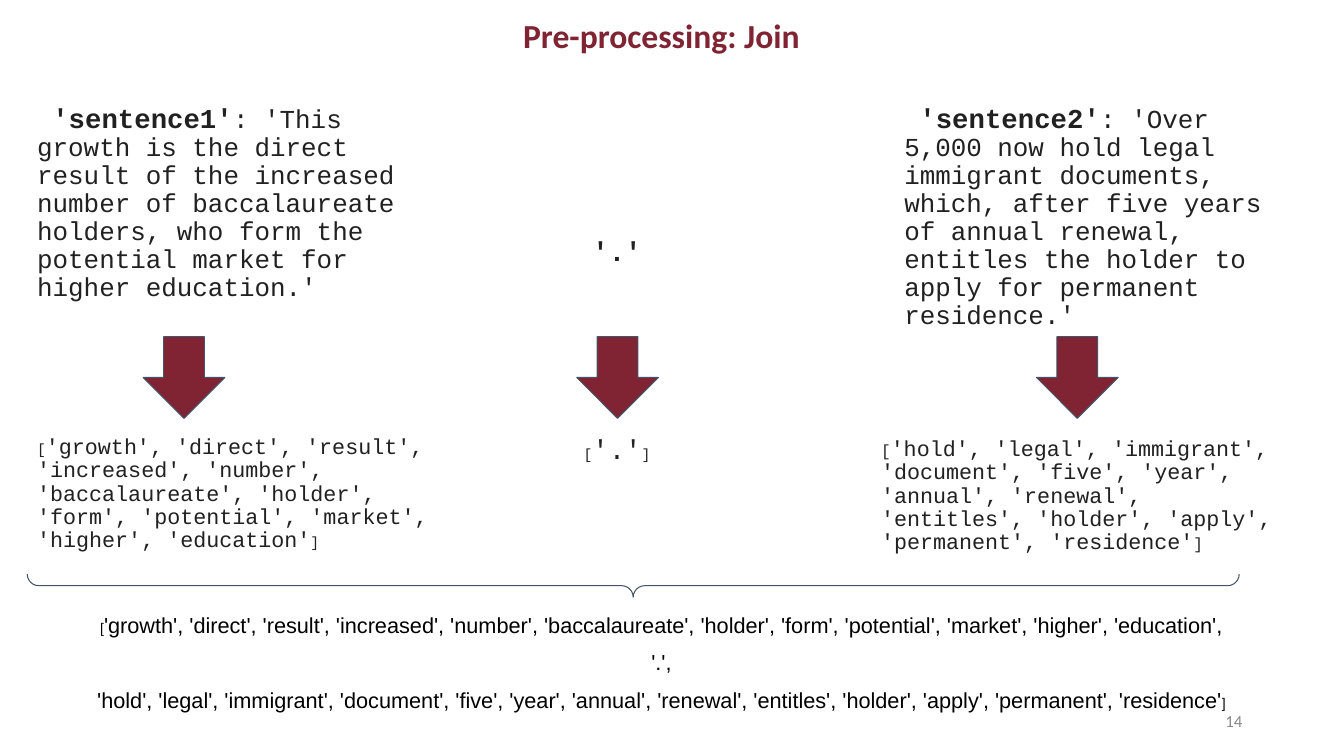
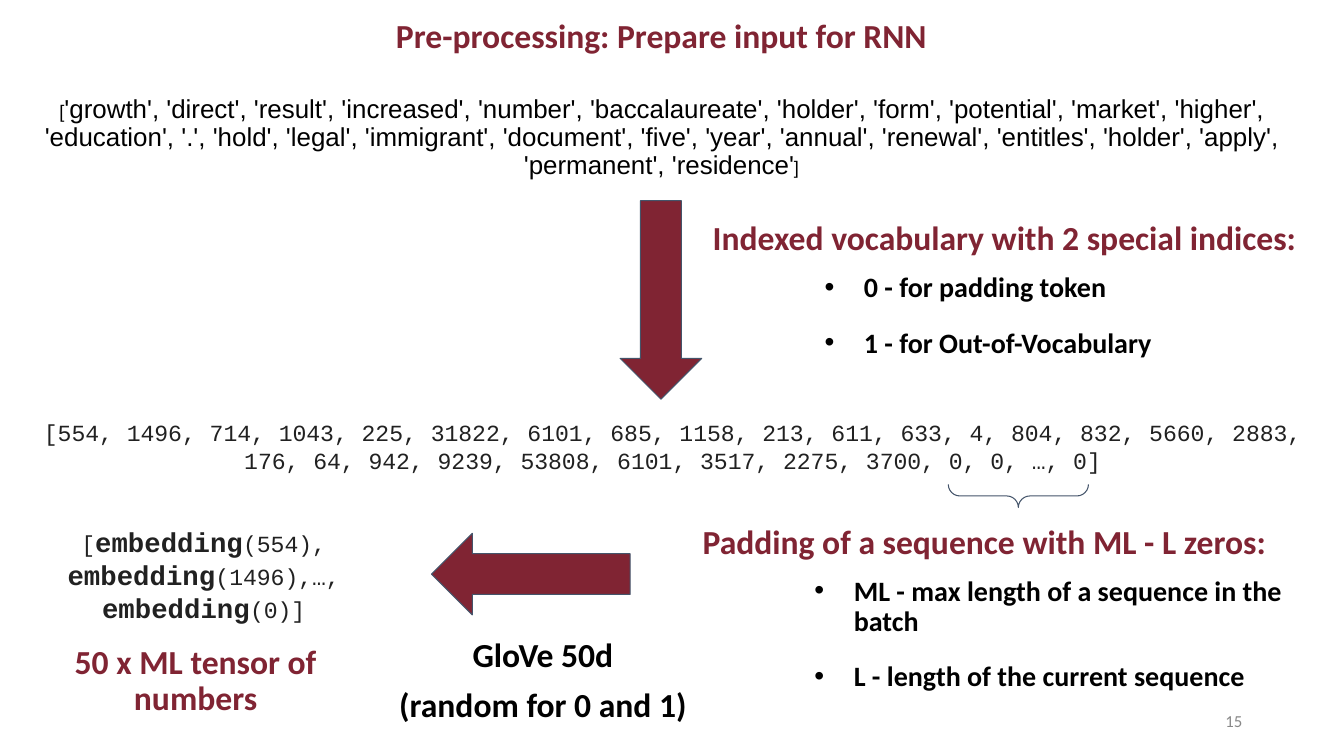
from pptx import Presentation
from pptx.dml.color import RGBColor
from pptx.enum.shapes import MSO_SHAPE
from pptx.enum.text import MSO_ANCHOR, PP_ALIGN
from pptx.util import Inches, Pt
from lxml import etree

DOWN, BACK, BRACE = MSO_SHAPE.DOWN_ARROW, MSO_SHAPE.LEFT_ARROW, MSO_SHAPE.LEFT_BRACE
LEFT, MID, RIGHT = PP_ALIGN.LEFT, PP_ALIGN.CENTER, PP_ALIGN.RIGHT
CENTRE = MSO_ANCHOR.MIDDLE
WINE, SLATE, INK, BLACK, GREY = "802433", "44546A", "212121", "000000", "888888"
SANS, MONO, PLAIN = "Calibri", "Courier New", "Arial"
WIDE, HIGH = 13.33, 7.5
BAND = 13.12
HEAD = 0.81
LONG = 1.97


def quote(words):
    return ", ".join(f"'{word}'" for word in words)


FIRST = quote(["growth", "direct", "result", "increased", "number", "baccalaureate",
               "holder", "form", "potential", "market", "higher", "education"])
DOT = quote(["."])
LAST = quote(["hold", "legal", "immigrant", "document", "five", "year", "annual",
              "renewal", "entitles", "holder", "apply", "permanent", "residence"])

SOURCES = [
    (0.27, "'sentence1'", ": 'This growth is the direct result of the increased number of "
     "baccalaureate holders, who form the potential market for higher education.'"),
    (8.87, "'sentence2'", ": 'Over 5,000 now hold legal immigrant documents, which, after "
     "five years of annual renewal, entitles the holder to apply for permanent residence.'"),
]
TOKENS = [
    (1.42, (0.27, 4.22, 4.08, 1.38), FIRST, 15.5, 10.5, LEFT),
    (5.72, (4.08, 4.22, 4.08, 0.5), DOT, 19.5, 10.5, MID),
    (10.28, (8.64, 4.24, 4.08, 1.38), LAST, 15.5, 11.5, LEFT),
]
CODES = ("[554, 1496, 714, 1043, 225, 31822, 6101, 685, 1158, 213, 611, 633, 4, 804, 832, "
         "5660, 2883, 176, 64, 942, 9239, 53808, 6101, 3517, 2275, 3700, 0, 0, …, 0]")
NOTES = [
    ((6.97, 2.1, 6.51, 1.58), "Indexed vocabulary with 2 special indices:",
     ["0 - for padding token", "1 - for Out-of-Vocabulary"]),
    ((6.87, 5.11, 6.33, 1.88), "Padding of a sequence with ML - L zeros:",
     ["ML - max length of a sequence in the batch", "L - length of the current sequence"]),
]
VECTOR = [("[", 16.5, False), ("embedding", 19.5, True), ("(554), ", 16.5, False),
          ("embedding", 19.5, True), ("(1496),…, ", 16.5, False),
          ("embedding", 19.5, True), ("(0)]", 16.5, False)]


def paint(text):
    return RGBColor.from_string(text)


def write(slide, box, paras, face=SANS, size=24, tint=WINE, bold=None,
          align=MID, gap=10, line=0.9, pad=0.1):
    frame = slide.shapes.add_textbox(*map(Inches, box)).text_frame
    frame.word_wrap = True
    frame.margin_left = frame.margin_right = Inches(0.1)
    frame.margin_top = frame.margin_bottom = Inches(pad)
    for i, runs in enumerate(paras):
        para = frame.add_paragraph() if i else frame.paragraphs[0]
        para.alignment, para.line_spacing, para.space_before = align, line, Pt(gap)
        font = para.font
        font.name, font.size, font.bold = face, Pt(size), bold
        font.color.rgb = paint(tint)
        for text, pts, heavy in [(runs, size, bold)] if isinstance(runs, str) else runs:
            run = para.add_run()
            run.text = text
            part = run.font
            part.name, part.size, part.bold = face, Pt(pts), heavy
            part.color.rgb = paint(tint)
    return frame


def indent(para, left, first):
    props = para._p.get_or_add_pPr()
    props.set("marL", str(Inches(left)))
    props.set("indent", str(Inches(first)))
    return props


def bullet(para):
    props = indent(para, 1.5, -0.39)
    base = "{http://schemas.openxmlformats.org/drawingml/2006/main}"
    spot = props.find(base + "defRPr")
    font = etree.Element(base + "buFont", typeface=PLAIN)
    mark = etree.Element(base + "buChar", char="•")
    for item in (font, mark):
        if spot is None:
            props.append(item)
        else:
            spot.addprevious(item)


def draw(slide, kind, box, fill=WINE, turn=0):
    shape = slide.shapes.add_shape(kind, *map(Inches, box))
    shape.shadow.inherit = False
    shape.rotation = turn
    shape.adjustments[0] = shape.adjustments[1] = 0.5
    if fill:
        shape.fill.solid()
        shape.fill.fore_color.rgb = paint(fill)
    else:
        shape.fill.background()
    shape.line.color.rgb = paint(SLATE)
    shape.line.width = Pt(0.75)


def brace(slide, x, y, span, deep=0.23):
    draw(slide, BRACE, (x - deep / 2, y - span / 2, deep, span), None, 270)


def wrap(text, size, small):
    return [("[", small, None), (text, size, None), ("]", small, None)]


def start(deck, title, page):
    slide = deck.slides.add_slide(deck.slide_layouts[6])
    foot = write(slide, (9.42, 6.95, 3, 0.4), [page], size=12, tint=GREY,
                 align=RIGHT, gap=0, line=1, pad=0.05)
    foot.vertical_anchor = CENTRE
    write(slide, (0, 0.09, BAND, 0.57), [title], bold=True, gap=5)
    return slide


def join(deck):
    slide = start(deck, "Pre-processing: Join", "14")
    for x, name, text in SOURCES:
        frame = write(slide, (x, 0.94, 4.08, 3.14),
                      [[(name, 19.5, True), (text, 18.5, False)]],
                      MONO, 18.5, INK, align=LEFT, gap=0)
        indent(frame.paragraphs[0], 0, 0.15)
    write(slide, (4.48, 2.26, 3.28, 0.5), [DOT], MONO, 19.5, INK, True, gap=0)
    for x, box, text, size, small, align in TOKENS:
        draw(slide, DOWN, (x, 3.34, HEAD, HEAD))
        write(slide, box, [wrap(text, size, small)], MONO, size, INK, align=align)
    brace(slide, 6.28, 5.81, 12.02)
    rows = [[("[", 10, None), (FIRST + ",", 15.5, None)], DOT + ",",
            [(LAST, 15.5, None), ("]", 10, None)]]
    write(slide, (0.3, 6, 12.52, 1.4), rows, PLAIN, 15.5, BLACK)


def feed(deck):
    slide = start(deck, "Pre-processing: Prepare input for RNN", "15")
    words = ", ".join([FIRST, DOT, LAST])
    write(slide, (0, 0.85, BAND, 1.04), [wrap(words, 18.5, 13)], PLAIN, 18.5, BLACK)
    draw(slide, DOWN, (6.15, 1.99, HEAD, LONG))
    for box, head, items in NOTES:
        frame = write(slide, box, [head, *items], bold=True, align=LEFT, gap=0)
        for para, gap in zip(frame.paragraphs[1:], (11, 18)):
            para.level, para.space_before = 1, Pt(gap)
            bullet(para)
            for font in (para.font, para.runs[0].font):
                font.size = Pt(20)
                font.color.rgb = paint(BLACK)
    write(slide, (0.3, 4.05, 12.74, 0.76), [CODES], MONO, 16.5, INK, gap=0, line=1)
    brace(slide, 10.1, 4.92, 1.39)
    draw(slide, BACK, (4.28, 5.29, LONG, HEAD))
    write(slide, (3.66, 6.23, 3.45, 1.07), ["GloVe 50d", "(random for 0 and 1)"],
          tint=BLACK, bold=True)
    write(slide, (0.38, 5.11, 3.28, 1.19), [VECTOR], MONO, 16.5, INK, gap=0, line=1)
    write(slide, (0.3, 6.3, 3.28, 0.93), ["50 x ML tensor of numbers"], bold=True)


def main():
    deck = Presentation()
    deck.slide_width, deck.slide_height = Inches(WIDE), Inches(HIGH)
    join(deck)
    feed(deck)
    deck.save("out.pptx")


if __name__ == "__main__":
    main()
